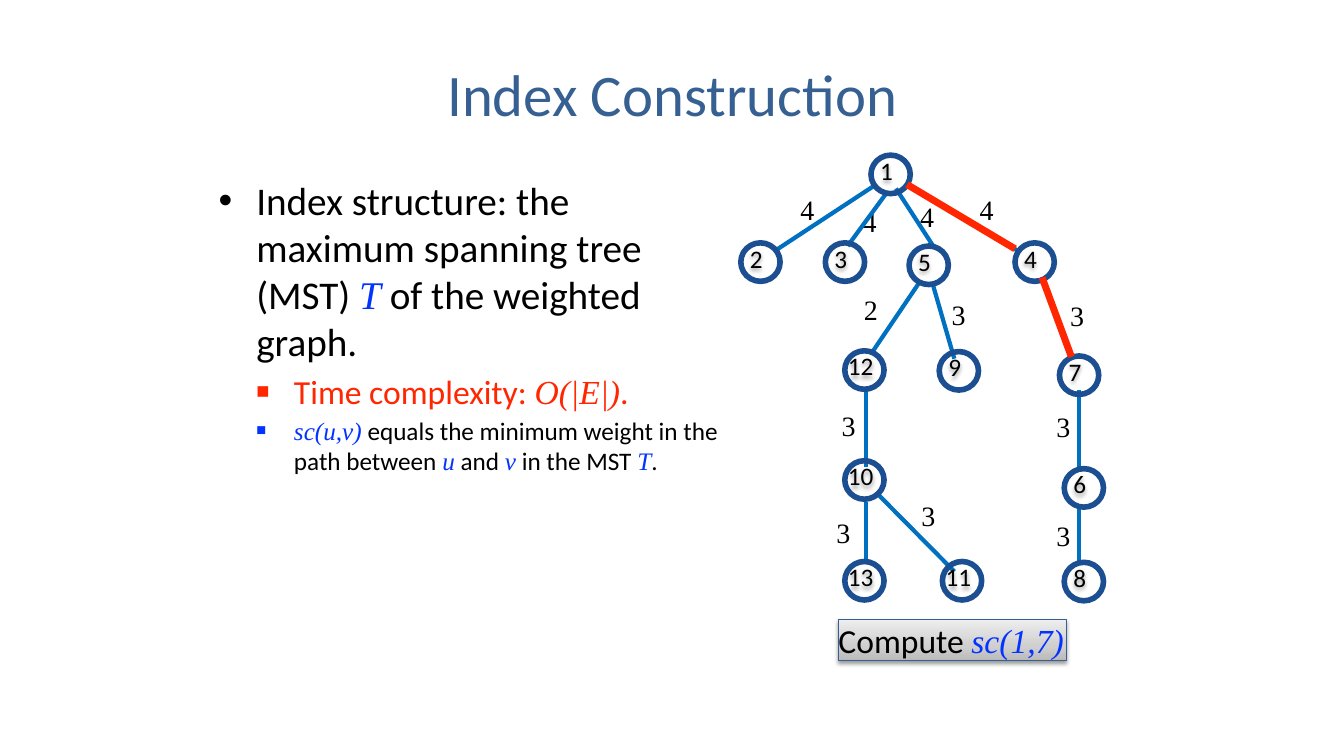
import pptx
import pptx.util
import pptx.dml.color
import pptx.enum.shapes
import pptx.enum.text
import pptx.oxml
import pptx.oxml.ns
from lxml import etree

Cm = pptx.util.Cm
Pt = pptx.util.Pt
RGBColor = pptx.dml.color.RGBColor
qn = pptx.oxml.ns.qn

TITLE_BLUE = RGBColor(0x37, 0x60, 0x92)
BLACK = RGBColor(0, 0, 0)
BLUE = RGBColor(0x04, 0x33, 0xFF)
RED = RGBColor(0xFF, 0x26, 0x00)
EDGE_BLUE = RGBColor(0x00, 0x70, 0xC0)
RING_BLUE = RGBColor(0x1B, 0x4F, 0x91)
SANS = "Calibri"
SERIF = "Times New Roman"

TITLE = "Index Construction"
BODY = [
    dict(bullet="•", bullet_size=100, indent=0.95, size=28, before=0, runs=[
        ("Index structure: the maximum spanning tree (MST) ", SANS, BLACK),
        ("T", SERIF, BLUE),
        (" of the weighted graph.", SANS, BLACK)]),
    dict(bullet="■", bullet_size=65, indent=1.9, size=24, before=4, runs=[
        ("Time complexity: ", SANS, RED),
        ("O(|E|)", SERIF, RED),
        (".", SANS, RED)]),
    dict(bullet="■", bullet_size=65, indent=1.9, size=18, before=3, runs=[
        ("sc(u,v)", SERIF, BLUE),
        (" equals the minimum weight in the path between ", SANS, BLACK),
        ("u", SERIF, BLUE),
        (" and ", SANS, BLACK),
        ("v", SERIF, BLUE),
        (" in the MST ", SANS, BLACK),
        ("T", SERIF, BLUE),
        (".", SANS, BLACK)]),
]
QUERY = [("Compute ", SANS, BLACK), ("sc(1,7)", SERIF, BLUE)]

NODES = {
    "1": (21.95, 3.91),
    "2": (18.67, 6.12), "3": (20.8, 6.12), "5": (22.91, 6.2), "4": (25.58, 6.12),
    "12": (21.29, 8.84), "9": (23.67, 8.86), "7": (26.7, 8.97),
    "10": (21.29, 11.61), "6": (26.82, 11.81),
    "13": (21.29, 14.15), "11": (23.75, 14.15), "8": (26.82, 14.17),
}
EDGES = [
    ((22.58, 4.75), (23.55, 6.25), "4", (23.19, 5.03)),
    ((22.07, 12.4), (24.05, 14.4), "3", (23.22, 12.57)),
    ((19.53, 6.32), (22, 4.7), "4", (20.17, 4.85)),
    ((25.65, 6.32), (22.94, 4.67), "4", (24.69, 4.85)),
    ((23.14, 7.16), (21.97, 8.89), "2", (21.77, 7.37)),
    ((21.82, 9.8), (21.82, 11.76), "3", (21.21, 10.29)),
    ((27, 9.04), (26.26, 7.01), "3", (26.97, 7.52)),
    ((23.52, 7.21), (24.05, 9.04), "3", (23.98, 7.49)),
    ((21.36, 6.2), (22.33, 4.88), "4", (21.74, 5.16)),
    ((21.82, 12.65), (21.82, 14.1), "3", (21.08, 12.98)),
    ((27.2, 9.83), (27.2, 11.79), "3", (26.62, 10.31)),
    ((27.2, 12.75), (27.2, 14.2), "3", (26.62, 13.06)),
]
QUERY_PATH = [((25.58, 6.27), (22.86, 4.65)), ((27, 8.99), (26.26, 6.99))]
NODE_WIDTH, NODE_HEIGHT = 0.99, 0.97

A = "http://schemas.openxmlformats.org/drawingml/2006/main"
SHADOW = (f'<a:effectLst xmlns:a="{A}"><a:outerShdw blurRad="38100" dist="20320" dir="5400000" '
          'rotWithShape="0"><a:srgbClr val="000000"><a:alpha val="38000"/></a:srgbClr>'
          '</a:outerShdw></a:effectLst>')
GRADIENT = (f'<a:gradFill xmlns:a="{A}" rotWithShape="1"><a:gsLst>'
            '<a:gs pos="0"><a:srgbClr val="BABABA"/></a:gs>'
            '<a:gs pos="35000"><a:srgbClr val="CFCFCF"/></a:gs>'
            '<a:gs pos="100000"><a:srgbClr val="EDEDED"/></a:gs></a:gsLst>'
            '<a:lin ang="16200000" scaled="0"/></a:gradFill>')


def add_runs(paragraph, runs, size):
    for text, font_name, color in runs:
        run = paragraph.add_run()
        run.text = text
        run.font.name = font_name
        run.font.size = Pt(size)
        run.font.italic = font_name == SERIF and not text.isdigit()
        run.font.color.rgb = color


def clear_margins(frame, wrap):
    frame.margin_left = frame.margin_right = frame.margin_top = frame.margin_bottom = 0
    frame.word_wrap = wrap


def add_text(shapes, left, top, width, height, runs, size):
    box = shapes.add_textbox(Cm(left), Cm(top), Cm(width), Cm(height))
    clear_margins(box.text_frame, False)
    add_runs(box.text_frame.paragraphs[0], runs, size)
    return box


def add_shadow(shape):
    shape._element.spPr.append(etree.fromstring(SHADOW))


def add_edge(slide, start, end, color, width):
    edge = slide.shapes.add_connector(
        pptx.enum.shapes.MSO_CONNECTOR.STRAIGHT, *map(Cm, start + end))
    edge.line.color.rgb = color
    edge.line.width = Pt(width)
    etree.SubElement(edge._element.spPr, qn("a:effectLst"))


def add_node(slide, number, left, top):
    group = slide.shapes.add_group_shape()
    ring = group.shapes.add_shape(pptx.enum.shapes.MSO_SHAPE.OVAL, Cm(left), Cm(top),
                                  Cm(NODE_WIDTH), Cm(NODE_HEIGHT))
    ring.shadow.inherit = False
    ring.fill.background()
    ring.line.color.rgb = RING_BLUE
    ring.line.width = Pt(4)
    offset = 0.23 if len(number) == 1 else 0.08
    label = add_text(group.shapes, left + offset, top, NODE_WIDTH, 0.76,
                     [(number, SANS, BLACK)], 18)
    add_shadow(label)


def add_body(slide):
    box = slide.shapes.add_textbox(Cm(5.51), Cm(4.45), Cm(12.68), Cm(12.57))
    frame = box.text_frame
    clear_margins(frame, True)
    for index, item in enumerate(BODY):
        paragraph = frame.paragraphs[0] if index == 0 else frame.add_paragraph()
        properties = paragraph._p.get_or_add_pPr()
        properties.set("marL", str(Cm(item["indent"])))
        properties.set("indent", str(-Cm(0.95)))
        etree.SubElement(properties, qn("a:buSzPct")).set("val", str(item["bullet_size"] * 1000))
        etree.SubElement(properties, qn("a:buFont")).set("typeface", "Arial")
        etree.SubElement(properties, qn("a:buChar")).set("char", item["bullet"])
        paragraph.level = int(index > 0)
        paragraph.space_before = Pt(item["before"])
        add_runs(paragraph, item["runs"], item["size"])


def add_query(slide):
    box = slide.shapes.add_shape(pptx.enum.shapes.MSO_SHAPE.RECTANGLE,
                                 Cm(21.13), Cm(15.62), Cm(5.74), Cm(1.03))
    box._element.spPr.append(etree.fromstring(GRADIENT))
    box.line.color.rgb = TITLE_BLUE
    box.line.width = Pt(0.75)
    add_shadow(box)
    clear_margins(box.text_frame, False)
    paragraph = box.text_frame.paragraphs[0]
    paragraph.alignment = pptx.enum.text.PP_ALIGN.LEFT
    add_runs(paragraph, QUERY, 24)


def main():
    presentation = pptx.Presentation()
    presentation.slide_width = Cm(33.87)
    presentation.slide_height = Cm(19.05)
    slide = presentation.slides.add_slide(presentation.slide_layouts[5])

    title = slide.shapes.title
    title.left, title.top, title.width, title.height = Cm(5.51), Cm(0.76), Cm(22.86), Cm(3.18)
    clear_margins(title.text_frame, True)
    title.text_frame.vertical_anchor = pptx.enum.text.MSO_ANCHOR.MIDDLE
    paragraph = title.text_frame.paragraphs[0]
    paragraph.alignment = pptx.enum.text.PP_ALIGN.CENTER
    add_runs(paragraph, [(TITLE, SANS, TITLE_BLUE)], 42)

    add_body(slide)
    for start, end, weight, (left, top) in EDGES:
        add_text(slide.shapes, left, top, 0.36, 0.86, [(weight, SERIF, BLACK)], 20)
        add_edge(slide, start, end, EDGE_BLUE, 3)
    for number, (left, top) in NODES.items():
        add_node(slide, number, left, top)
    for start, end in QUERY_PATH:
        add_edge(slide, start, end, RED, 5)
    add_query(slide)
    presentation.save("out.pptx")


if __name__ == "__main__":
    main()
